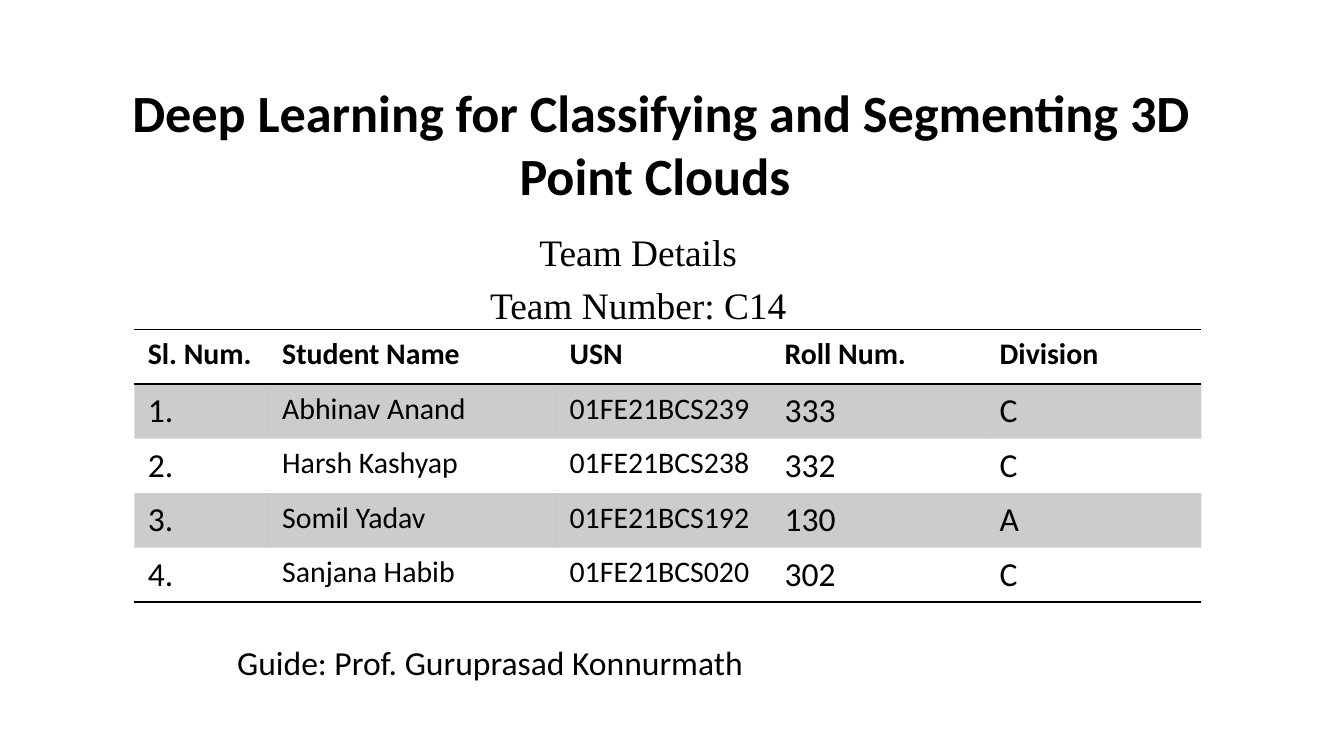
from pptx import Presentation
from pptx.util import Pt
from pptx.dml.color import RGBColor as RGB
from pptx.enum.text import PP_ALIGN as AL, MSO_ANCHOR as ANC
from pptx.oxml import parse_xml
from pptx.oxml.ns import nsdecls, qn

# Content
BLACK = "000000"
SANS = {"name": "Calibri", "size": Pt(18), "bold": False}
SERIF = {"name": "Times New Roman", "size": Pt(20)}
TITLE = {"name": "Calibri", "size": Pt(28), "bold": True}
SMALL = {**SANS, "size": Pt(16)}
HEAD = {**SMALL, "bold": True}

# Box in points, anchor, alignment, font, lines
TEXTS = [
    ((48, 31.5, 612, 90), ANC.MIDDLE, AL.CENTER, TITLE,
     ["Deep Learning for Classifying and Segmenting 3D Point Clouds "]),
    ((90, 119, 504, 104), ANC.TOP, AL.CENTER, SERIF,
     ["Team Details", "Team Number: C14"]),
    ((120, 340.5, 504, 66), ANC.TOP, AL.LEFT, SANS,
     ["Guide: Prof. Guruprasad Konnurmath"]),
]
TEAM = [
    ("Sl. Num.", "Student Name", "USN", "Roll Num.", "Division"),
    ("1.", "Abhinav Anand", "01FE21BCS239", "333", "C"),
    ("2.", "Harsh Kashyap", "01FE21BCS238", "332", "C"),
    ("3.", "Somil Yadav", "01FE21BCS192", "130", "A"),
    ("4.", "Sanjana Habib", "01FE21BCS020", "302", "C"),
]
COLS = [72, 154, 115.2, 115.2, 115.2]
ROW = 29.25
PLAIN = "{2D5ABB26-0587-4C30-8999-92F81FD0307C}"  # no style, no grid


def paint(target, color):
    target.rgb = RGB.from_string(color)


def write(par, text, style):
    run = par.add_run()
    run.text = text
    for key, value in style.items():
        setattr(run.font, key, value)
    paint(run.font.color, BLACK)


def rule(cell, sides):
    props = cell._tc.get_or_add_tcPr()
    for spot, side in enumerate(sides):
        props.insert(spot, parse_xml(
            f'<a:ln{side} {nsdecls("a")} w="{Pt(1)}"><a:solidFill>'
            f'<a:srgbClr val="{BLACK}"/></a:solidFill></a:ln{side}>'))


def shade(cell, color, alpha):
    cell.fill.solid()
    paint(cell.fill.fore_color, color)
    tint = cell._tc.tcPr.find(".//" + qn("a:srgbClr"))
    tint.append(parse_xml(
        f'<a:alpha {nsdecls("a")} val="{alpha * 1000}"/>'))


prs = Presentation()
prs.slide_width, prs.slide_height = Pt(720), Pt(405)
slide = prs.slides.add_slide(prs.slide_layouts[6])

# Title, team lines and guide
for box, anchor, align, style, lines in TEXTS:
    frame = slide.shapes.add_textbox(*map(Pt, box)).text_frame
    frame.word_wrap = True
    frame.vertical_anchor = anchor
    for i, line in enumerate(lines):
        par = frame.add_paragraph() if i else frame.paragraphs[0]
        par.alignment = align
        if i:
            par.space_before = Pt(4.6)
        write(par, line, style)

# Team table
last = len(TEAM) - 1
table = slide.shapes.add_table(
    len(TEAM), len(COLS), Pt(72), Pt(176.5),
    Pt(sum(COLS)), Pt(ROW * len(TEAM))).table
table._tbl.tblPr.find(qn("a:tableStyleId")).text = PLAIN
for col, width in zip(table.columns, COLS):
    col.width = Pt(width)
for r, row in enumerate(TEAM):
    table.rows[r].height = Pt(ROW)
    for c, text in enumerate(row):
        cell = table.cell(r, c)
        style = HEAD if r == 0 else SMALL if c in (1, 2) else SANS
        write(cell.text_frame.paragraphs[0], text, style)
        if r % 2:
            shade(cell, BLACK, 20)
        else:
            cell.fill.background()
        rule(cell, {0: "TB", last: "B"}.get(r, ""))

prs.save("out.pptx")
